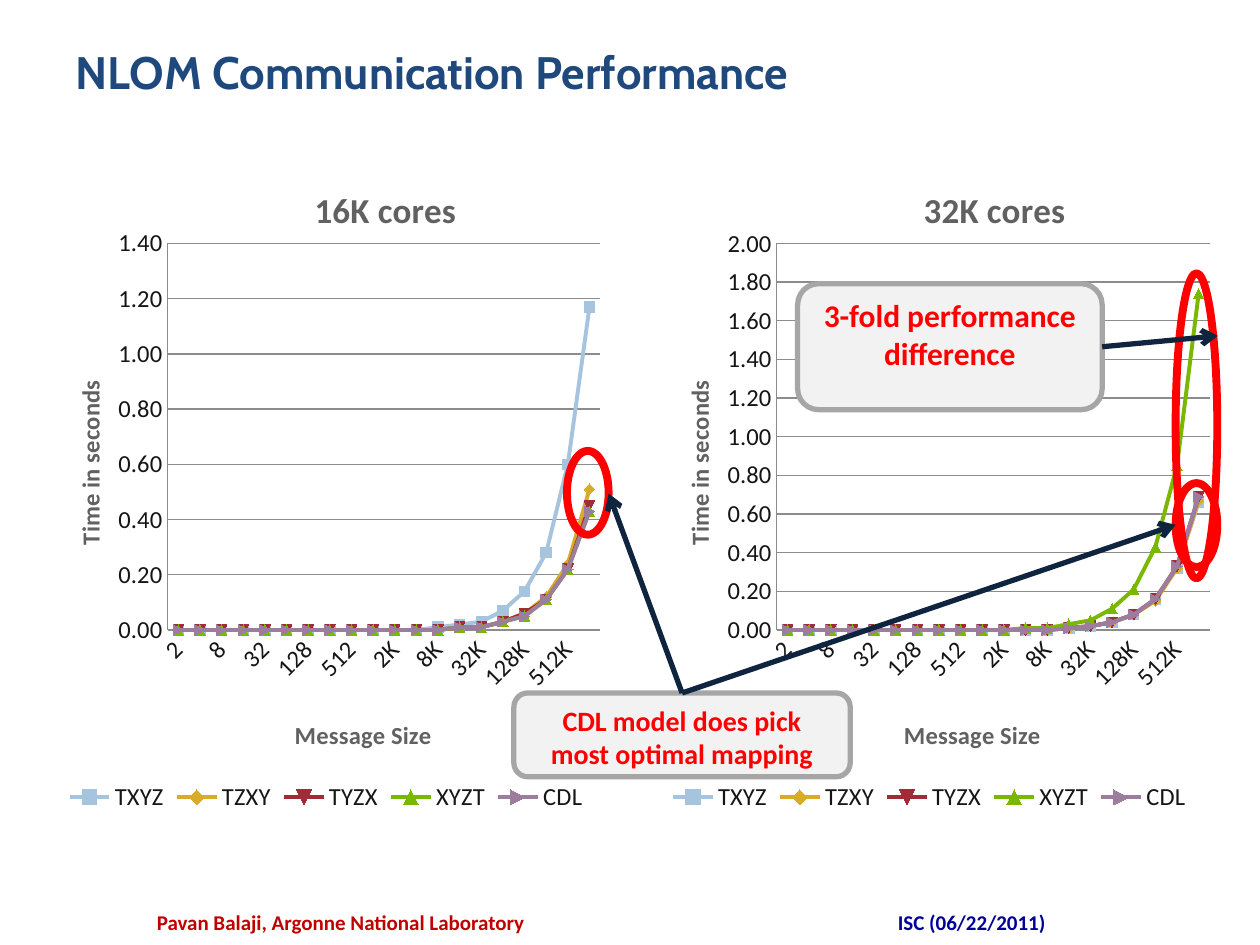
from dataclasses import dataclass

from lxml.etree import SubElement
from pptx import Presentation
from pptx.chart.data import CategoryChartData
from pptx.dml.color import RGBColor
from pptx.enum.chart import XL_CHART_TYPE, XL_LEGEND_POSITION, XL_TICK_MARK
from pptx.enum.shapes import MSO_CONNECTOR, MSO_SHAPE
from pptx.enum.text import MSO_ANCHOR, PP_ALIGN
from pptx.oxml import parse_xml
from pptx.oxml.ns import nsdecls, qn
from pptx.util import Cm, Pt


@dataclass(frozen=True)
class Theme:
    heading_font: str = "Cabin"
    body_font: str = "Calibri"
    heading: str = "1F497D"
    author: str = "C00000"
    event: str = "000099"
    chart_title: str = "616161"
    chart_label: str = "151515"
    grid: str = "8C8C8C"
    highlight: str = "FF0000"
    callout_fill: str = "F2F2F2"
    callout_line: str = "A6A6A6"
    arrow: str = "0F243E"
    heading_size: int = 26
    footer_size: int = 12
    chart_title_size: int = 20
    chart_label_size: int = 14
    ring_width: float = 4.5
    line_width: int = 3


theme = Theme()
series_colors = {"TXYZ": "A6C4DE", "TZXY": "D8AC28", "TYZX": "A22B38",
                 "XYZT": "7AB800", "CDL": "9D7D9E"}
message_sizes = ("2 4 8 16 32 64 128 256 512 1K 2K 4K 8K 16K 32K 64K "
                 "128K 256K 512K 1MB").split()


def write(frame, text, size, color, font=theme.body_font, align=PP_ALIGN.CENTER):
    para = frame.paragraphs[0]
    para.alignment = align
    span = para.add_run()
    span.text = text
    span.font.name = font
    span.font.size = Pt(size)
    span.font.bold = True
    span.font.color.rgb = RGBColor.from_string(color)


def place(part, **fractions):
    """Give a chart part a manual layout in fractions of the chart."""
    for old in part.findall(qn("c:layout")):
        part.remove(old)
    layout = parse_xml(f"<c:layout {nsdecls('c')}><c:manualLayout/></c:layout>")
    settings = {"xMode": "edge", "yMode": "edge", **fractions}
    if part.tag == qn("c:plotArea"):
        settings = {"layoutTarget": "inner", **settings}
    for name, value in settings.items():
        SubElement(layout[0], qn(f"c:{name}"), val=str(value))
    leading = [child for child in part if child.tag in (qn("c:tx"), qn("c:legendPos"))]
    part.insert(len(leading), layout)


deck = Presentation()
deck.slide_width, deck.slide_height = Cm(25.4), Cm(19.05)
page = deck.slides.add_slide(deck.slide_layouts[5])

# Title and footers
title = page.shapes.title
title.left, title.top, title.width, title.height = Cm(1.27), Cm(0.76), Cm(22.86), Cm(2.21)
title.text_frame.vertical_anchor = MSO_ANCHOR.TOP
write(title.text_frame, "NLOM Communication Performance", theme.heading_size,
      theme.heading, theme.heading_font, PP_ALIGN.LEFT)

for text, left, width, color in (
    ("Pavan Balaji, Argonne National Laboratory", 2.74, 8.26, theme.author),
    ("ISC (06/22/2011)", 14.61, 9.96, theme.event),
):
    box = page.shapes.add_textbox(Cm(left), Cm(18.21), Cm(width), Cm(0.64))
    box.text_frame.word_wrap = True
    write(box.text_frame, text, theme.footer_size, color)

# Charts: times too small to show are zero, so only the last ones are listed
charts = (
    ("16K cores", 0.42, 1.4, 0.06, {
        "TXYZ": (0.01, 0.02, 0.03, 0.07, 0.14, 0.28, 0.6, 1.17),
        "TZXY": (0.01, 0.01, 0.03, 0.06, 0.12, 0.24, 0.51),
        "TYZX": (0.01, 0.01, 0.03, 0.06, 0.11, 0.22, 0.45),
        "XYZT": (0.01, 0.01, 0.03, 0.05, 0.11, 0.22, 0.43),
        "CDL": (0.01, 0.01, 0.03, 0.05, 0.11, 0.22, 0.43),
    }),
    ("32K cores", 12.7, 2, 0.05, {
        "TXYZ": (0.01, 0.02, 0.04, 0.08, 0.16, 0.32, 0.66),
        "TZXY": (0.01, 0.02, 0.04, 0.08, 0.15, 0.32, 0.67),
        "TYZX": (0.01, 0.02, 0.04, 0.08, 0.16, 0.33, 0.69),
        "XYZT": (0.01, 0.01, 0.03, 0.05, 0.11, 0.21, 0.43, 0.85, 1.74),
        "CDL": (0.01, 0.02, 0.04, 0.08, 0.16, 0.33, 0.69),
    }),
)
for heading, left, maximum, legend_left, timings in charts:
    data = CategoryChartData(number_format="0.00")
    data.categories = message_sizes
    for name, times in timings.items():
        data.add_series(name, [0] * (len(message_sizes) - len(times)) + list(times))
    chart = page.shapes.add_chart(XL_CHART_TYPE.LINE_MARKERS, Cm(left), Cm(3.18),
                                  Cm(12.07), Cm(14.17), data).chart
    chart.font.name = theme.body_font
    chart.font.size = Pt(theme.chart_label_size)
    chart.font.color.rgb = RGBColor.from_string(theme.chart_label)
    chart.plots[0].vary_by_categories = False

    chart.has_title = True
    write(chart.chart_title.text_frame, heading, theme.chart_title_size, theme.chart_title)
    sizes, seconds = chart.category_axis, chart.value_axis
    for axis, text in ((sizes, "Message Size"), (seconds, "Time in seconds")):
        write(axis.axis_title.text_frame, text, theme.chart_label_size, theme.chart_title)
        axis.major_tick_mark = axis.minor_tick_mark = XL_TICK_MARK.NONE
        axis.tick_labels.font.size = Pt(theme.chart_label_size)
        axis.tick_labels.font.color.rgb = RGBColor.from_string(theme.chart_label)
        axis.format.line.color.rgb = RGBColor.from_string(theme.grid)
    seconds.minimum_scale, seconds.maximum_scale, seconds.major_unit = 0, maximum, 0.2
    seconds.tick_labels.number_format = "0.00"
    seconds.tick_labels.number_format_is_linked = False
    seconds.major_gridlines.format.line.color.rgb = RGBColor.from_string(theme.grid)

    # Slanted labels on every second message size, upright title on the time axis
    sizes_xml = chart.element.xpath(".//c:catAx")[0]
    sizes_xml.xpath("c:txPr/a:bodyPr")[0].set("rot", "-2700000")
    sizes_xml.xpath("c:noMultiLvlLbl")[0].addprevious(
        parse_xml(f'<c:tickLblSkip {nsdecls("c")} val="2"/>'))
    time_title = chart.element.xpath(".//c:valAx/c:title//a:bodyPr")[0]
    time_title.set("rot", "-5400000")
    time_title.set("vert", "horz")

    for series in chart.plots[0].series:
        color = RGBColor.from_string(series_colors[series.name])
        series.smooth = False
        series.format.line.color.rgb = color
        series.format.line.width = Pt(2.25)
        series.marker.size = 6
        series.marker.format.fill.solid()
        series.marker.format.fill.fore_color.rgb = color
        series.marker.format.line.color.rgb = color

    chart.has_legend = True
    chart.legend.position = XL_LEGEND_POSITION.BOTTOM
    chart.legend.include_in_layout = False
    for query, fractions in (
        ("c:chart/c:title", dict(x=0.48, y=0.03)),
        (".//c:plotArea", dict(x=0.245, y=0.122, w=0.723, h=0.55)),
        (".//c:catAx/c:title", dict(x=0.45, y=0.79)),
        (".//c:valAx/c:title", dict(x=0.08, y=0.31)),
        (".//c:legend", dict(x=legend_left, y=0.88, w=0.9, h=0.06)),
    ):
        place(chart.element.xpath(query)[0], **fractions)

# Callouts: text, size, box, side the arrows leave from, rings with arrow tips
callouts = (
    ("3-fold performance difference", 18, (16.08, 5.72, 6.14, 2.54), 3,
     [((23.7, 5.51, 0.84, 6.15), (24.55, 6.77))]),
    ("CDL model does pick most optimal mapping", 16, (10.36, 13.97, 6.78, 1.69), 0,
     [((11.43, 9.09, 0.84, 1.69), (12.27, 9.95)),
      ((23.7, 9.74, 0.84, 1.69), (23.7, 10.58))]),
)
for text, size, bounds, side, targets in callouts:
    group = page.shapes.add_group_shape()
    for ring_bounds, tip in targets:
        ring = group.shapes.add_shape(MSO_SHAPE.OVAL, *map(Cm, ring_bounds))
        ring.shadow.inherit = False
        ring.fill.background()
        ring.line.color.rgb = RGBColor.from_string(theme.highlight)
        ring.line.width = Pt(theme.ring_width)

    callout = group.shapes.add_shape(MSO_SHAPE.ROUNDED_RECTANGLE, *map(Cm, bounds))
    callout.shadow.inherit = False
    callout.fill.solid()
    callout.fill.fore_color.rgb = RGBColor.from_string(theme.callout_fill)
    callout.line.color.rgb = RGBColor.from_string(theme.callout_line)
    callout.line.width = Pt(theme.line_width)
    callout.text_frame.word_wrap = True
    callout.text_frame.vertical_anchor = MSO_ANCHOR.TOP
    write(callout.text_frame, text, size, theme.highlight)

    for ring_bounds, tip in targets:
        arrow = group.shapes.add_connector(MSO_CONNECTOR.STRAIGHT, callout.left,
                                           callout.top, *map(Cm, tip))
        arrow.begin_connect(callout, side)
        arrow.line.color.rgb = RGBColor.from_string(theme.arrow)
        arrow.line.width = Pt(theme.line_width)
        SubElement(arrow.get_or_add_ln(), qn("a:tailEnd"), type="arrow")
        SubElement(arrow.element.find(qn("p:spPr")), qn("a:effectLst"))

deck.save("out.pptx")
